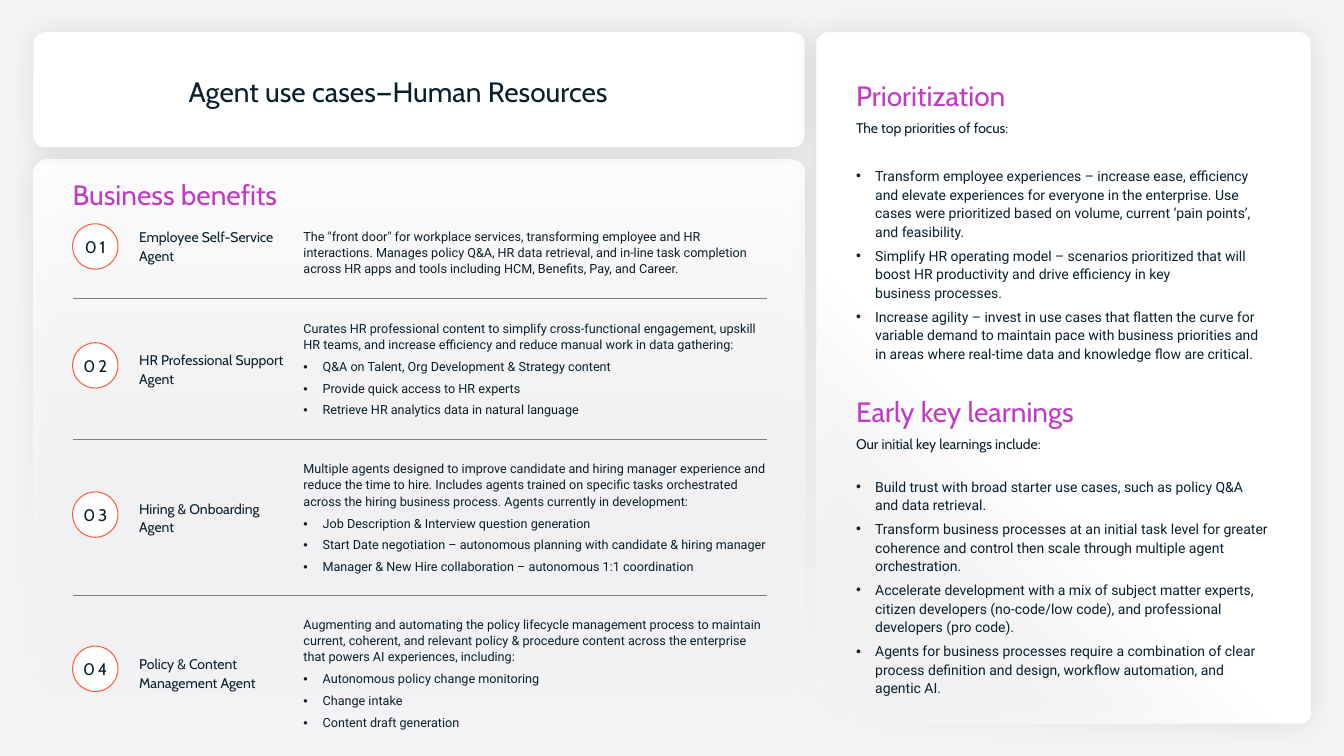
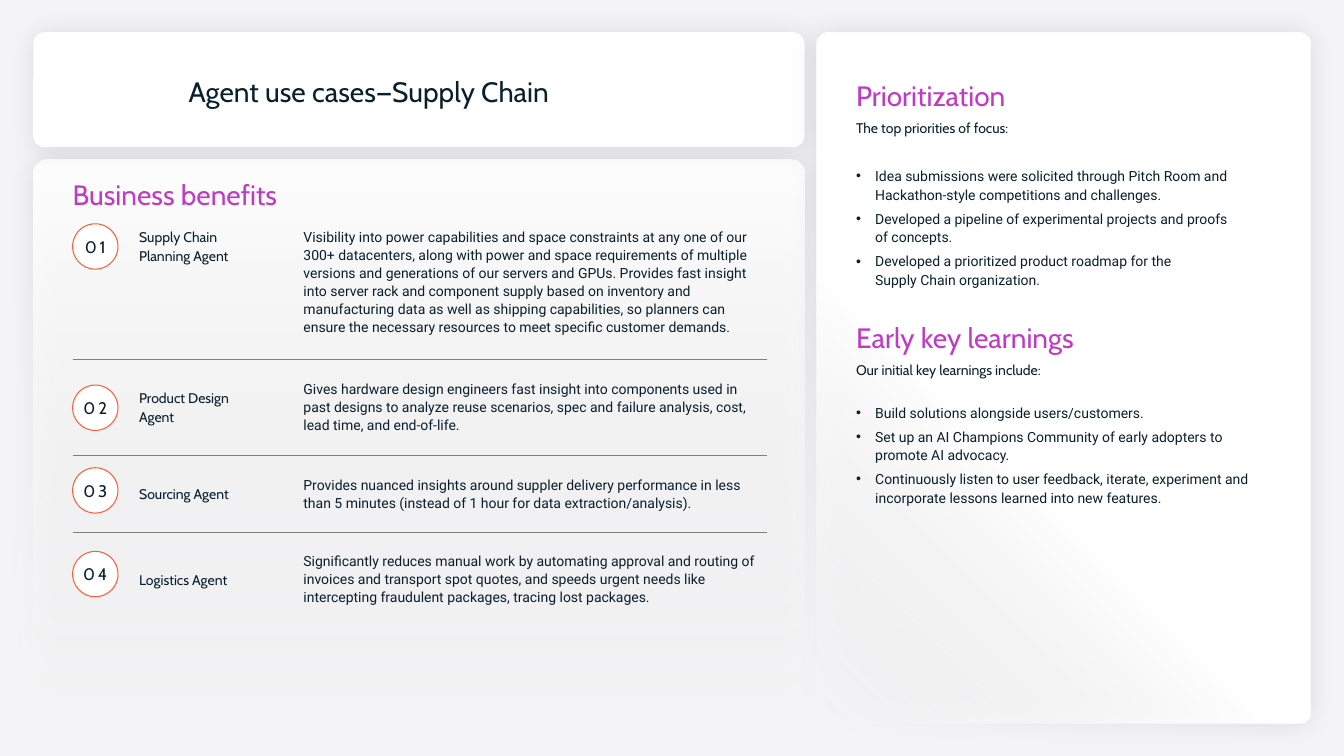
from itertools import accumulate

from pptx import Presentation
from pptx import util as u
from pptx.dml.color import RGBColor
from pptx.enum import shapes, text
from pptx.oxml import parse_xml
from pptx.oxml.ns import nsdecls

# Shared look
INK, ACCENT, RING, RULE = "091F2C", "C03BC4", "FF5C39", "808080"
WHITE, BACKDROP, SHADE = "FFFFFF", "F4F3F5", "000000"
HEAD_FONT, BODY_FONT = "Cabin", "Roboto"
MIDDLE, TOP = text.MSO_ANCHOR.MIDDLE, text.MSO_ANCHOR.TOP
NO_GRID = "{2D5ABB26-0587-4C30-8999-92F81FD0307C}"

# Regions: left, top, width, height in inches
BENEFITS = (0.33, 1.58, 7.65, 5.6)
BANNER = (0.33, 0.32, 7.65, 1.14)
SIDEBAR = (8.1, 0.32, 4.9, 6.86)
INDENT = 0.39
BADGE = 0.45
COLUMNS = (0.56, 1.63, 4.7)


def color(value):
    return RGBColor.from_string(value)


def xml(tag, attributes="", inner=""):
    return parse_xml(f"<a:{tag} {nsdecls('a')} {attributes}>{inner}</a:{tag}>")


def solid(value, inner=""):
    return f'<a:solidFill><a:srgbClr val="{value}">{inner}</a:srgbClr></a:solidFill>'


def place(item, box):
    item.left, item.top, item.width, item.height = map(u.Inches, box)


def set_frame(frame, anchor=TOP, wrap=True):
    frame.margin_left = frame.margin_top = frame.margin_right = frame.margin_bottom = 0
    frame.auto_size = text.MSO_AUTO_SIZE.NONE
    frame.vertical_anchor, frame.word_wrap = anchor, wrap


def write(frame, words, size=10, font=HEAD_FONT, ink=INK, bullet=False,
          before=0, after=4, spacing=1.1, align=text.PP_ALIGN.LEFT):
    """Add one paragraph; a newline in the words is a line break."""
    para = frame.add_paragraph() if frame.text else frame.paragraphs[0]
    props = para._p.get_or_add_pPr()
    hang = u.Inches(0.19) if bullet else 0
    props.set("marL", str(hang))
    props.set("indent", str(-hang))
    if bullet:
        props.append(xml("buFont", 'typeface="Arial"'))
        props.append(xml("buChar", 'char="•"'))
    else:
        props.append(xml("buNone"))
    para.alignment, para.line_spacing = align, spacing
    para.space_before, para.space_after = u.Pt(before), u.Pt(after)
    for number, line in enumerate(words.split("\n")):
        if number:
            para.add_line_break()
        span = para.add_run()
        span.text = line
        span.font.size, span.font.name = u.Pt(size), font
        span.font.color.rgb = color(ink)
    return para


def add_panel(page, depth, box, corner, fade=None):
    """White rounded card behind the text; fade is (start share, angle)."""
    card = page.shapes.add_shape(shapes.MSO_SHAPE.ROUNDED_RECTANGLE, *map(u.Inches, box))
    card.adjustments[0] = corner
    card.line.fill.background()
    if fade:
        start, angle = fade
        card.fill.gradient()
        card.fill.gradient_angle = 360 - angle
        for stop, position in zip(card.fill.gradient_stops, (start, 1)):
            stop.position = position
            stop.color.rgb = color(WHITE)
        clear_end = card._element.spPr.findall(".//{*}srgbClr")[-1]
        clear_end.append(xml("alpha", 'val="0"'))
    else:
        card.fill.solid()
        card.fill.fore_color.rgb = color(WHITE)
    tint = f'<a:srgbClr val="{SHADE}"><a:alpha val="10000"/></a:srgbClr>'
    glow = f'<a:outerShdw blurRad="{u.Pt(20)}" dist="0" dir="2700000" rotWithShape="0">{tint}</a:outerShdw>'
    card._element.spPr.append(xml("effectLst", "", glow))
    # Cards go behind the placeholders
    page.shapes._spTree.insert(2 + depth, card._element)


def add_banner(page, box, title):
    left, top, width, _ = box
    head = page.shapes.title
    place(head, (left + 1.54, top + 0.4, width - 2.39, 0.34))
    set_frame(head.text_frame, MIDDLE)
    write(head.text_frame, title, 20, after=0)


def add_badge(page, left, top, number):
    badge = page.shapes.add_shape(shapes.MSO_SHAPE.OVAL, *map(u.Inches, (left, top, BADGE, BADGE)))
    badge.shadow.inherit = False
    badge.fill.solid()
    badge.fill.fore_color.rgb = color(WHITE)
    badge.line.color.rgb, badge.line.width = color(RING), u.Pt(0.75)
    set_frame(badge.text_frame, MIDDLE, wrap=False)
    para = write(badge.text_frame, f"{number:02}", 12, after=0, spacing=1,
                 align=text.PP_ALIGN.CENTER)
    para.runs[0].font._element.set("spc", "200")


def style_cell(cell, row, column, last):
    cell.fill.background()
    cell.vertical_anchor = MIDDLE if row else TOP
    cell.margin_left = u.Inches(0.1)
    cell.margin_right = u.Inches(0.1 if column < 2 else 0)
    cell.margin_top = u.Inches(0.2 if row else 0.15)
    cell.margin_bottom = u.Inches(0.2)
    # Rules run between the rows only
    edges = [edge for edge, drawn in (("lnT", row > 0), ("lnB", row < last)) if drawn]
    for position, edge in enumerate(edges):
        cell._tc.get_or_add_tcPr().insert(position, xml(edge, f'w="{u.Pt(0.5)}"', solid(RULE)))


def add_benefits(page, box, agents, size):
    """Heading and agent table; agents hold height, badge top, name, text, bullets."""
    left, top = box[0] + INDENT, box[1]
    heading = page.shapes.add_textbox(*map(u.Inches, (left, top + 0.16, 6.46, 0.34)))
    set_frame(heading.text_frame, MIDDLE)
    write(heading.text_frame, "Business benefits", 20, ink=ACCENT)

    heights = [agent[0] for agent in agents]
    area = (left, top + 0.53, sum(COLUMNS), sum(heights))
    holder = page.shapes.add_table(len(agents), len(COLUMNS), *map(u.Inches, area))
    grid = holder.table
    grid.first_row = grid.horz_banding = False
    grid._tbl.tblPr.find("{*}tableStyleId").text = NO_GRID
    for column, width in zip(grid.columns, COLUMNS):
        column.width = u.Inches(width)
    starts = accumulate([area[1]] + heights)
    for row, (start, agent) in enumerate(zip(starts, agents)):
        height, drop, name, summary, bullets = agent
        grid.rows[row].height = u.Inches(height)
        for column in range(len(COLUMNS)):
            style_cell(grid.cell(row, column), row, column, len(agents) - 1)
        write(grid.cell(row, 1).text_frame, name)
        details = grid.cell(row, 2).text_frame
        write(details, summary, size, BODY_FONT)
        for item in bullets:
            write(details, item, size, BODY_FONT, bullet=True)
        add_badge(page, left, start + drop, row + 1)


def add_sidebar(page, box, priorities, learnings):
    left, top, width, _ = box
    body = page.placeholders[1]
    place(body, (left + INDENT, top + 0.43, width - 0.77, 6))
    frame = body.text_frame
    set_frame(frame)
    sections = (("Prioritization", "The top priorities of focus:", priorities, 0, 21),
                ("Early key learnings", "Our initial key learnings include:", learnings, 17, 17))
    for heading, lead, items, before, after in sections:
        write(frame, heading, 20, ink=ACCENT, before=before)
        write(frame, lead, after=after)
        for item in items:
            write(frame, item, font=BODY_FONT, bullet=True)


def add_use_cases(deck, title, agents, size, priorities, learnings):
    page = deck.slides.add_slide(deck.slide_layouts[1])
    cards = ((BENEFITS, 0.024, (0, 90)), (BANNER, 0.1, None), (SIDEBAR, 0.023, (0.61, 135)))
    for depth, card in enumerate(cards):
        add_panel(page, depth, *card)
    add_banner(page, BANNER, title)
    add_benefits(page, BENEFITS, agents, size)
    add_sidebar(page, SIDEBAR, priorities, learnings)


HUMAN_RESOURCES = dict(
    title="Agent use cases—Human Resources",
    size=9,
    agents=(
        (0.85, 0.11, "Employee Self-Service Agent",
         "The \"front door\" for workplace services, transforming employee and HR interactions. "
         "Manages policy Q&A, HR data retrieval, and in-line task completion across HR apps and "
         "tools including HCM, Benefits, Pay, and Career.", ()),
        (1.4, 0.44, "HR Professional Support Agent",
         "Curates HR professional content to simplify cross-functional engagement, upskill HR "
         "teams, and increase efficiency and reduce manual work in data gathering:",
         ("Q&A on Talent, Org Development & Strategy content",
          "Provide quick access to HR experts",
          "Retrieve HR analytics data in natural language")),
        (1.55, 0.52, "Hiring & Onboarding Agent",
         "Multiple agents designed to improve candidate and hiring manager experience and reduce "
         "the time to hire. Includes agents trained on specific tasks orchestrated across the "
         "hiring business process. Agents currently in development:",
         ("Job Description & Interview question generation",
          "Start Date negotiation – autonomous planning with candidate & hiring manager",
          "Manager & New Hire collaboration – autonomous 1:1 coordination")),
        (1.49, 0.5, "Policy & Content Management Agent",
         "Augmenting and automating the policy lifecycle management process to maintain current, "
         "coherent, and relevant policy & procedure content across the enterprise that powers AI "
         "experiences, including:",
         ("Autonomous policy change monitoring", "Change intake", "Content draft generation")),
    ),
    priorities=(
        "Transform employee experiences – increase ease, efficiency and elevate experiences for "
        "everyone in the enterprise. Use cases were prioritized based on volume, current "
        "‘pain points’,\nand feasibility.",
        "Simplify HR operating model – scenarios prioritized that will boost HR productivity and "
        "drive efficiency in key\nbusiness processes.",
        "Increase agility – invest in use cases that flatten the curve for variable demand to "
        "maintain pace with business priorities and in areas where real-time data and knowledge "
        "flow are critical.",
    ),
    learnings=(
        "Build trust with broad starter use cases, such as policy Q&A\nand data retrieval.",
        "Transform business processes at an initial task level for greater coherence and control "
        "then scale through multiple agent orchestration.",
        "Accelerate development with a mix of subject matter experts, citizen developers "
        "(no-code/low code), and professional developers (pro code).",
        "Agents for business processes require a combination of clear process definition and "
        "design, workflow automation, and\nagentic AI.",
    ),
)

SUPPLY_CHAIN = dict(
    title="Agent use cases—Supply Chain",
    size=10,
    agents=(
        (1.45, 0.11, "Supply Chain\nPlanning Agent",
         "Visibility into power capabilities and space constraints at any one of our 300+ "
         "datacenters, along with power and space requirements of multiple versions and "
         "generations of our servers and GPUs. Provides fast insight into server rack and "
         "component supply based on inventory and manufacturing data as well as shipping "
         "capabilities, so planners can ensure the necessary resources to meet specific "
         "customer demands.", ()),
        (0.96, 0.26, "Product Design\nAgent",
         "Gives hardware design engineers fast insight into components used in past designs to "
         "analyze reuse scenarios, spec and failure analysis, cost, lead time, and end-of-life.",
         ()),
        (0.76, 0.12, "Sourcing Agent",
         "Provides nuanced insights around suppler delivery performance in less than 5 minutes "
         "(instead of 1 hour for data extraction/analysis).", ()),
        (0.88, 0.19, "Logistics Agent",
         "Significantly reduces manual work by automating approval and routing of invoices and "
         "transport spot quotes, and speeds urgent needs like intercepting fraudulent packages, "
         "tracing lost packages.", ()),
    ),
    priorities=(
        "Idea submissions were solicited through Pitch Room and\nHackathon-style competitions "
        "and challenges.",
        "Developed a pipeline of experimental projects and proofs\nof concepts.",
        "Developed a prioritized product roadmap for the\nSupply Chain organization.",
    ),
    learnings=(
        "Build solutions alongside users/customers.",
        "Set up an AI Champions Community of early adopters to promote AI advocacy.",
        "Continuously listen to user feedback, iterate, experiment and incorporate lessons "
        "learned into new features.",
    ),
)


def main():
    deck = Presentation()
    deck.slide_width, deck.slide_height = u.Inches(13.33), u.Inches(7.5)
    backdrop = deck.slide_master.background.fill
    backdrop.solid()
    backdrop.fore_color.rgb = color(BACKDROP)
    for topic in (HUMAN_RESOURCES, SUPPLY_CHAIN):
        add_use_cases(deck, **topic)
    deck.save("out.pptx")


if __name__ == "__main__":
    main()
